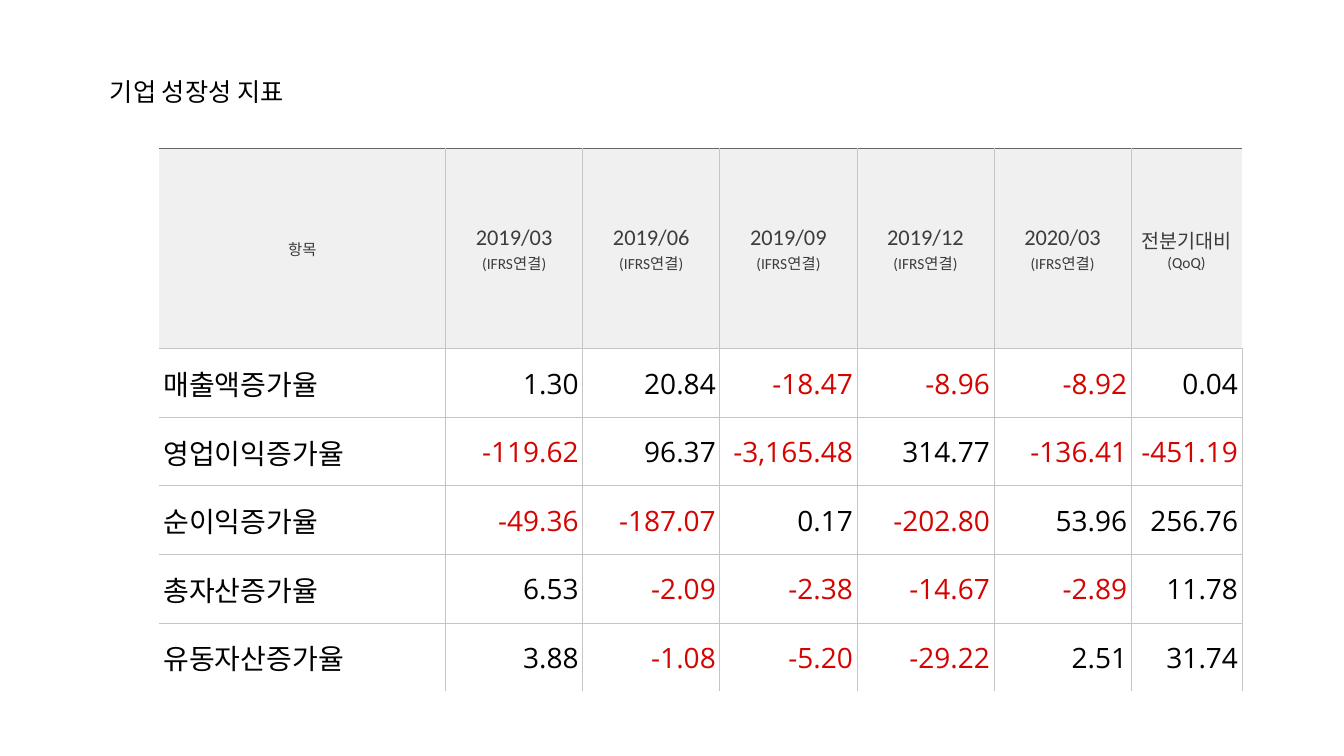
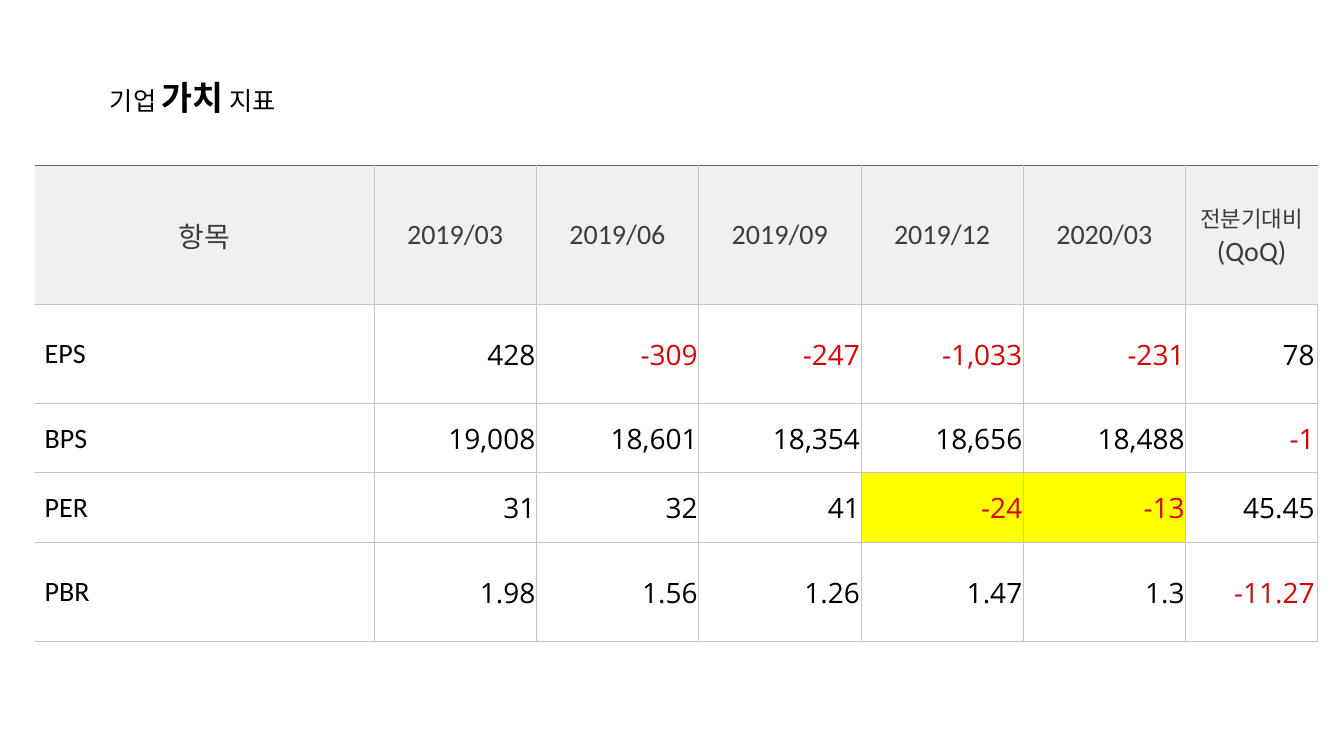
import dataclasses
import lxml.etree
import pptx
import pptx.dml.color
import pptx.enum.text
import pptx.oxml.ns
import pptx.util

Inches = pptx.util.Inches
Align = pptx.enum.text.PP_ALIGN
Anchor = pptx.enum.text.MSO_ANCHOR


@dataclasses.dataclass(frozen=True)
class Theme:
    ink: str = "000000"
    loss: str = "D40400"
    head: str = "3C3C3C"
    band: str = "F0F0F0"
    page: str = "FFFFFF"
    mark: str = "FFFF00"
    rule: str = "C5C5C5"
    edge: str = "666666"
    text: str = "Calibri"
    num: str = "Open Sans"
    line: float = 0.6
    title: int = 18
    large: int = 24
    body: int = 20
    date: int = 16
    label: int = 14
    small: int = 11


@dataclasses.dataclass(frozen=True)
class Grid:
    box: tuple      # left, top, width, height
    cols: list
    rows: list
    head: list      # lines of (text, size) for each header cell
    data: list      # row name, then its values
    pads: tuple     # insets of header, name, value and last-column cells
    marks: tuple = ()
    closed: bool = True


T = Theme()


def rgb(code):
    return pptx.dml.color.RGBColor.from_string(code)


def add_run(para, text, size, color=T.ink, font=T.text, bold=False):
    run = para.add_run()
    run.text = text
    run.font.size = pptx.util.Pt(size)
    run.font.name = font
    run.font.bold = bold
    run.font.color.rgb = rgb(color)


# Cell borders: a colour for each side, or None for no line
def add_edges(cell, sides):
    props = cell._tc.get_or_add_tcPr()
    name = pptx.oxml.ns.qn
    for spot, (side, color) in enumerate(sides.items()):
        line = lxml.etree.Element(name("a:ln" + side), w=str(pptx.util.Pt(T.line)))
        if color:
            fill = lxml.etree.SubElement(line, name("a:solidFill"))
            lxml.etree.SubElement(fill, name("a:srgbClr"), val=color)
        else:
            lxml.etree.SubElement(line, name("a:noFill"))
        props.insert(spot, line)


# Fill, insets and alignment; returns the paragraph to write in
def set_cell(cell, fill, pads, align):
    cell.fill.solid()
    cell.fill.fore_color.rgb = rgb(fill)
    cell.vertical_anchor = Anchor.MIDDLE
    (cell.margin_left, cell.margin_top,
     cell.margin_right, cell.margin_bottom) = map(Inches, pads)
    para = cell.text_frame.paragraphs[0]
    para.alignment = align
    return para


def add_title(slide, box, parts):
    title = slide.shapes.title
    title.left, title.top, title.width, title.height = map(Inches, box)
    frame = title.text_frame
    frame.word_wrap = False
    frame.auto_size = pptx.enum.text.MSO_AUTO_SIZE.NONE
    frame.vertical_anchor = Anchor.TOP
    para = frame.paragraphs[0]
    para.alignment = Align.LEFT
    for text, size, bold in parts:
        add_run(para, text, size, bold=bold)


def add_grid(slide, grid):
    shape = slide.shapes.add_table(
        len(grid.rows), len(grid.cols), *map(Inches, grid.box))
    table = shape.table
    table.first_row = table.horz_banding = False
    for col, width in zip(table.columns, grid.cols):
        col.width = Inches(width)
    for row, height in zip(table.rows, grid.rows):
        row.height = Inches(height)
    top, name, value, final = grid.pads
    end = len(grid.cols) - 1

    # Header row
    for c, lines in enumerate(grid.head):
        para = set_cell(table.cell(0, c), T.band, top, Align.CENTER)
        for i, (text, size) in enumerate(lines):
            if i:
                para.add_line_break()
            add_run(para, text, size, T.head)

    # Named rows of figures, losses in red
    for r, texts in enumerate(grid.data, 1):
        for c, text in enumerate(texts):
            fill = T.mark if (r, c) in grid.marks else T.page
            pads = name if c == 0 else final if c == end else value
            para = set_cell(table.cell(r, c), fill, pads,
                            Align.RIGHT if c else Align.LEFT)
            color = T.loss if text.startswith("-") else T.ink
            add_run(para, text, T.body, color, T.num if c else T.text)

    # Rules, open at the left and beside the header
    last = len(grid.rows) - 1
    for r in range(last + 1):
        for c in range(end + 1):
            add_edges(table.cell(r, c), {
                "L": T.rule if c else None,
                "R": T.rule if r or c < end else None,
                "T": T.rule if r else T.edge,
                "B": T.rule if r < last or grid.closed else None})


def add_slide(deck, box, parts, grid):
    slide = deck.slides.add_slide(deck.slide_layouts[5])
    add_title(slide, box, parts)
    add_grid(slide, grid)


dates = ["2019/03", "2019/06", "2019/09", "2019/12", "2020/03"]

# Growth figures
pad = (0.06, 0.02, 0.04, 0.01)
growth = Grid(
    box=(1.58, 1.47, 10.73, 5.41),
    cols=[2.84] + [1.36] * 5 + [1.1],
    rows=[1.99] + [0.68] * 5,
    head=[[("항목", T.small)],
          *([(day, T.date), ("(IFRS연결)", T.small)] for day in dates),
          [("전분기대비", T.label), ("(QoQ)", T.small)]],
    data=[
        ["매출액증가율", "1.30", "20.84", "-18.47", "-8.96", "-8.92", "0.04"],
        ["영업이익증가율", "-119.62", "96.37", "-3,165.48", "314.77", "-136.41", "-451.19"],
        ["순이익증가율", "-49.36", "-187.07", "0.17", "-202.80", "53.96", "256.76"],
        ["총자산증가율", "6.53", "-2.09", "-2.38", "-14.67", "-2.89", "11.78"],
        ["유동자산증가율", "3.88", "-1.08", "-5.20", "-29.22", "2.51", "31.74"]],
    pads=((0.06, 0.02, 0.06, 0.01), (0.04, 0.02, 0.06, 0.01), pad, pad),
    closed=False)

# Value figures
worth = Grid(
    box=(0.35, 1.64, 12.7, 4.7),
    cols=[3.36] + [1.61] * 5 + [1.31],
    rows=[1.38, 0.98, 0.69, 0.69, 0.98],
    head=[[("항목", T.body)],
          *([(day, T.body)] for day in dates),
          [("전분기대비", T.date), ("(QoQ)", T.body)]],
    data=[
        ["\u00a0EPS", "428", "-309", "-247", "-1,033", "-231", "78"],
        ["\u00a0BPS", "19,008", "18,601", "18,354", "18,656", "18,488", "-1"],
        ["\u00a0PER", "31", "32", "41", "-24", "-13", "45.45"],
        ["\u00a0PBR", "1.98", "1.56", "1.26", "1.47", "1.3", "-11.27"]],
    pads=((0.04, 0.01, 0.04, 0), (0.03, 0.01, 0.04, 0),
          (0.01, 0.01, 0.01, 0), (0.04, 0.01, 0.03, 0)),
    marks=((3, 4), (3, 5)))

deck = pptx.Presentation()
deck.slide_width, deck.slide_height = Inches(13.33), Inches(7.5)
add_slide(deck, (0.99, 0.71, 2.25, 0.4),
          [("기업 성장성 지표", T.title, False)], growth)
add_slide(deck, (0.99, 0.71, 2.25, 0.5),
          [("기업 ", T.title, False), ("가치", T.large, True),
           (" 지표", T.title, False)], worth)
deck.save("out.pptx")
